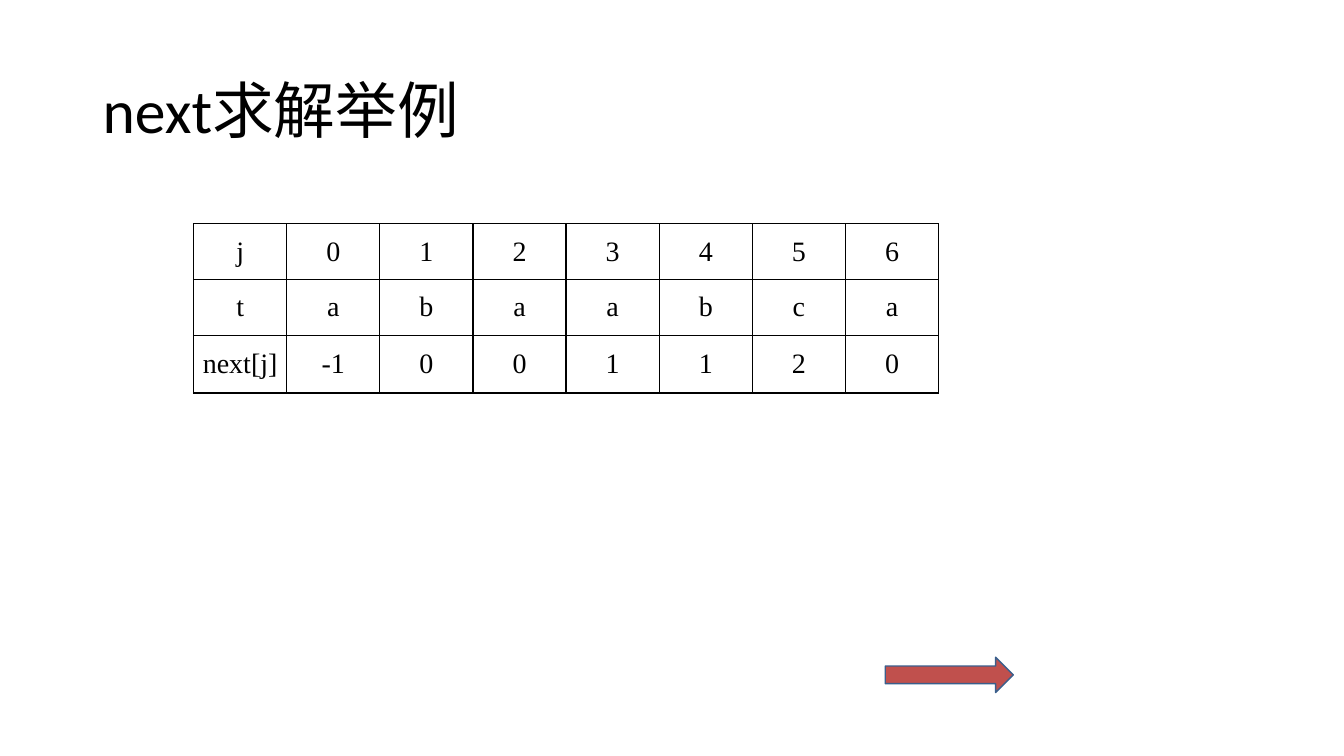
from lxml import etree
from pptx import Presentation, util as u
from pptx.dml.color import RGBColor
from pptx.enum import shapes, text
from pptx.oxml.ns import qn

COLORS = {"ink": "000000", "arrow": "C0504D", "arrow_line": "3A5F8C"}
ROWS = [
    ["j", "0", "1", "2", "3", "4", "5", "6"],
    ["t", "a", "b", "a", "a", "b", "c", "a"],
    ["next[j]", "-1", "0", "0", "1", "1", "2", "0"],
]
ROW_HEIGHTS = [0.55, 0.56, 0.57]


def color(name):
    """Return the named palette colour."""
    return RGBColor.from_string(COLORS[name])


def add_run(para, words, size, font):
    """Append one run of ink-coloured text."""
    span = para.add_run()
    span.text = words
    span.font.size = u.Pt(size)
    span.font.name = font
    span.font.bold = False
    span.font.color.rgb = color("ink")


def add_title(page, box):
    """Place the heading, centred vertically in its box."""
    frame = page.shapes.add_textbox(*map(u.Inches, box)).text_frame
    frame.word_wrap = True
    frame.vertical_anchor = text.MSO_ANCHOR.MIDDLE
    para = frame.paragraphs[0]
    para.line_spacing = 0.9
    add_run(para, "next求解举例", 44, "Calibri")


def add_borders(cell):
    """Draw a thin line on every side of a cell."""
    props = cell._tc.get_or_add_tcPr()
    for place, side in enumerate(("a:lnL", "a:lnR", "a:lnT", "a:lnB")):
        line = etree.Element(qn(side), w=str(u.Pt(1)))
        fill = etree.SubElement(line, qn("a:solidFill"))
        etree.SubElement(fill, qn("a:srgbClr"), val=COLORS["ink"])
        props.insert(place, line)


def add_next_table(page, box):
    """Place the table of pattern characters and next values."""
    frame = page.shapes.add_table(len(ROWS), len(ROWS[0]), *map(u.Inches, box))
    table = frame.table
    table.first_row = table.horz_banding = False
    for row, height, values in zip(table.rows, ROW_HEIGHTS, ROWS):
        row.height = u.Inches(height)
        for cell, value in zip(row.cells, values):
            cell.fill.background()
            add_borders(cell)
            cell.vertical_anchor = text.MSO_ANCHOR.MIDDLE
            cell.margin_left = cell.margin_right = u.Inches(0.07)
            cell.margin_top = cell.margin_bottom = 0
            para = cell.text_frame.paragraphs[0]
            para.alignment = text.PP_ALIGN.CENTER
            add_run(para, value, 20, "Times New Roman")


def add_arrow(page, box):
    """Place the arrow that points onward."""
    arrow = page.shapes.add_shape(shapes.MSO_SHAPE.RIGHT_ARROW, *map(u.Inches, box))
    arrow.shadow.inherit = False
    arrow.fill.solid()
    arrow.fill.fore_color.rgb = color("arrow")
    arrow.line.color.rgb = color("arrow_line")
    arrow.line.width = u.Pt(1)


def main():
    """Build and save the deck."""
    deck = Presentation()
    deck.slide_width, deck.slide_height = u.Inches(13.33), u.Inches(7.5)
    page = deck.slides.add_slide(deck.slide_layouts[6])
    add_title(page, (0.92, 0.4, 11.5, 1.45))
    add_next_table(page, (1.92, 2.22, 7.39, 1.68))
    add_arrow(page, (8.78, 6.52, 1.27, 0.35))
    deck.save("out.pptx")


if __name__ == "__main__":
    main()
